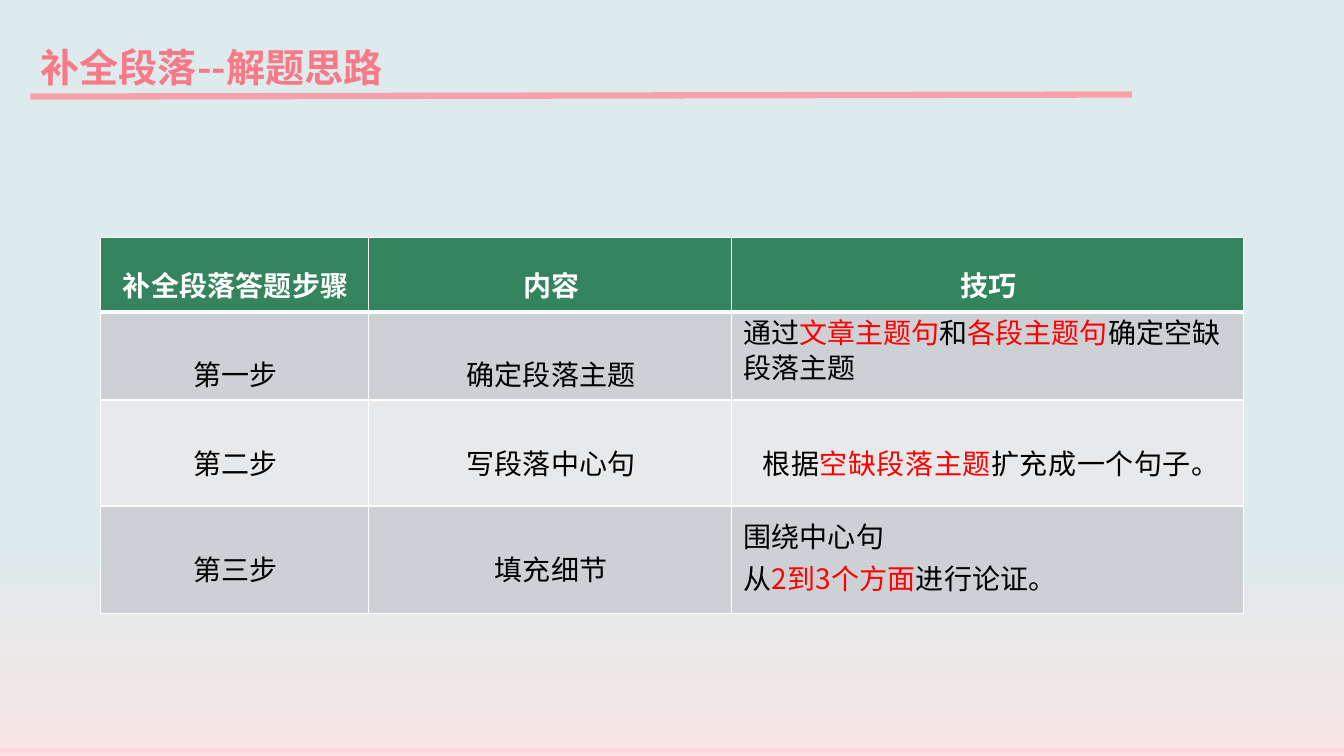
import pptx
import pptx.dml.color
import pptx.enum.shapes
import pptx.enum.text
import pptx.oxml
import pptx.oxml.ns
import pptx.util
from lxml import etree

EMU_PER_PX = 9525
FONT = "Noto Sans CJK SC"
ALIGN = pptx.enum.text.PP_ALIGN
ANCHOR = pptx.enum.text.MSO_ANCHOR

WHITE, BLACK, RED = "FFFFFF", "000000", "FF0000"
GREEN, DARK_GRAY, LIGHT_GRAY = "34845E", "CDD0D4", "E8E9EB"
TITLE_PINK, RULE_PINK = "F87987", "FAA0AA"
BACKGROUND_STOPS = [(70, "DDEBED"), (99, "F5E5E4"), (99, "FDD4D9"), (100, "FDE3E6")]

COLUMN_WIDTHS = [255, 346, 487]
ROW_HEIGHTS = [71, 84, 101, 102]
ROW_FILLS = [GREEN, DARK_GRAY, LIGHT_GRAY, DARK_GRAY]
STEP_TOPS = [6, 39, 40, 40]
# Asterisks enclose the words shown in red.
ROWS = [
    ["补全段落答题步骤", "内容", "技巧"],
    ["第一步", "确定段落主题", "通过*文章主题句*和*各段主题句*确定空缺段落主题"],
    ["第二步", "写段落中心句", "根据*空缺段落主题*扩充成一个句子。"],
    ["第三步", "填充细节", "围绕中心句\n从*2到3个方面*进行论证。"],
]
# Settings of the technique column that differ from the other cells of its row.
TECHNIQUES = {
    1: dict(top=4, left=11, align=ALIGN.LEFT, spacing=0,
            line_spacings=[pptx.util.Pt(25.3)]),
    2: dict(left=7, spacing=0.4),
    3: dict(top=8, left=11, align=ALIGN.LEFT, line_spacings=[1.0, 1.04]),
}


def px(length):
    return pptx.util.Emu(length * EMU_PER_PX)


def rgb(color):
    return pptx.dml.color.RGBColor.from_string(color)


def add_element(parent, tag, **attributes):
    return etree.SubElement(parent, pptx.oxml.ns.qn(tag), attributes)


class SlideBuilder:
    def __init__(self, presentation, font):
        self.font = font
        self.slide = presentation.slides.add_slide(presentation.slide_layouts[5])

    def background(self, stops):
        fill = self.slide.background.fill
        fill.gradient()
        fill.gradient_angle = 270
        stop_list = next(self.slide.element.iter(pptx.oxml.ns.qn("a:gsLst")))
        for old_stop in list(stop_list):
            stop_list.remove(old_stop)
        for percent, color in stops:
            stop = add_element(stop_list, "a:gs", pos=str(percent * 1000))
            add_element(stop, "a:srgbClr", val=color)

    def format_run(self, run, size, color, bold=False, spacing=0):
        run.font.size = pptx.util.Pt(size)
        run.font.bold = bold
        run.font.color.rgb = rgb(color)
        run.font.name = self.font
        properties = run.font._element
        properties.set("spc", str(round(spacing * 100)))
        add_element(properties, "a:ea", typeface=self.font)

    def title(self, text, left, top, width, height):
        shape = self.slide.shapes.title
        shape.left, shape.top = px(left), px(top)
        shape.width, shape.height = px(width), px(height)
        frame = shape.text_frame
        frame.text = text
        frame.auto_size = pptx.enum.text.MSO_AUTO_SIZE.NONE
        frame.vertical_anchor = ANCHOR.MIDDLE
        frame.paragraphs[0].alignment = ALIGN.LEFT
        self.format_run(frame.paragraphs[0].runs[0], 28, TITLE_PINK, bold=True)

    def line(self, start, end, color, width):
        connector = self.slide.shapes.add_connector(
            pptx.enum.shapes.MSO_CONNECTOR.STRAIGHT, *map(px, start + end))
        connector.line.color.rgb = rgb(color)
        connector.line.width = pptx.util.Pt(width)
        add_element(connector._element.spPr, "a:effectLst")

    def table(self, left, top, column_widths, row_heights):
        frame = self.slide.shapes.add_table(
            len(row_heights), len(column_widths), px(left), px(top),
            px(sum(column_widths)), px(sum(row_heights)))
        table = frame.table
        for column, width in zip(table.columns, column_widths):
            column.width = px(width)
        for row, height in zip(table.rows, row_heights):
            row.height = px(height)
        return table

    def cell(self, cell, text, fill, color, top, left=2, align=ALIGN.CENTER,
             bold=False, spacing=0.1, line_spacings=(1.0,)):
        cell.margin_left, cell.margin_top = px(left), px(top)
        cell.margin_right = cell.margin_bottom = 0
        cell.vertical_anchor = ANCHOR.TOP
        frame = cell.text_frame
        frame.text = text.replace("*", "")
        for paragraph, marked, line_spacing in zip(
                frame.paragraphs, text.split("\n"), line_spacings):
            paragraph.alignment = align
            paragraph.line_spacing = line_spacing
            paragraph.clear()
            for index, part in enumerate(marked.split("*")):
                run = paragraph.add_run()
                run.text = part
                self.format_run(run, 20, RED if index % 2 else color, bold, spacing)
        cell.fill.solid()
        cell.fill.fore_color.rgb = rgb(fill)

    def borders(self, cell, color, top=1, bottom=1):
        properties = cell._tc.get_or_add_tcPr()
        sides = [("a:lnL", 1), ("a:lnR", 1), ("a:lnT", top), ("a:lnB", bottom)]
        for position, (tag, width) in enumerate(sides):
            line = pptx.oxml.parse_xml(
                f'<{tag} {pptx.oxml.ns.nsdecls("a")} w="{pptx.util.Pt(width)}">'
                f'<a:solidFill><a:srgbClr val="{color}"/></a:solidFill></{tag}>')
            properties.insert(position, line)


def main():
    presentation = pptx.Presentation()
    presentation.slide_width, presentation.slide_height = px(1280), px(720)
    builder = SlideBuilder(presentation, FONT)
    builder.background(BACKGROUND_STOPS)
    builder.line((29, 92), (1078, 90), RULE_PINK, 4.5)
    builder.title("补全段落--解题思路", 29, 36, 803, 55)

    table = builder.table(96, 226, COLUMN_WIDTHS, ROW_HEIGHTS)
    for row, texts in enumerate(ROWS):
        header = row == 0
        for column, text in enumerate(texts):
            style = dict(top=STEP_TOPS[row], bold=header)
            if header:
                style["line_spacings"] = [1.5]
            if column == 2:
                style.update(TECHNIQUES.get(row, {}))
            cell = table.cell(row, column)
            builder.cell(cell, text, ROW_FILLS[row], WHITE if header else BLACK, **style)
            builder.borders(cell, WHITE, top=3 if row == 1 else 1,
                            bottom=3 if header else 1)
    presentation.save("out.pptx")


if __name__ == "__main__":
    main()
